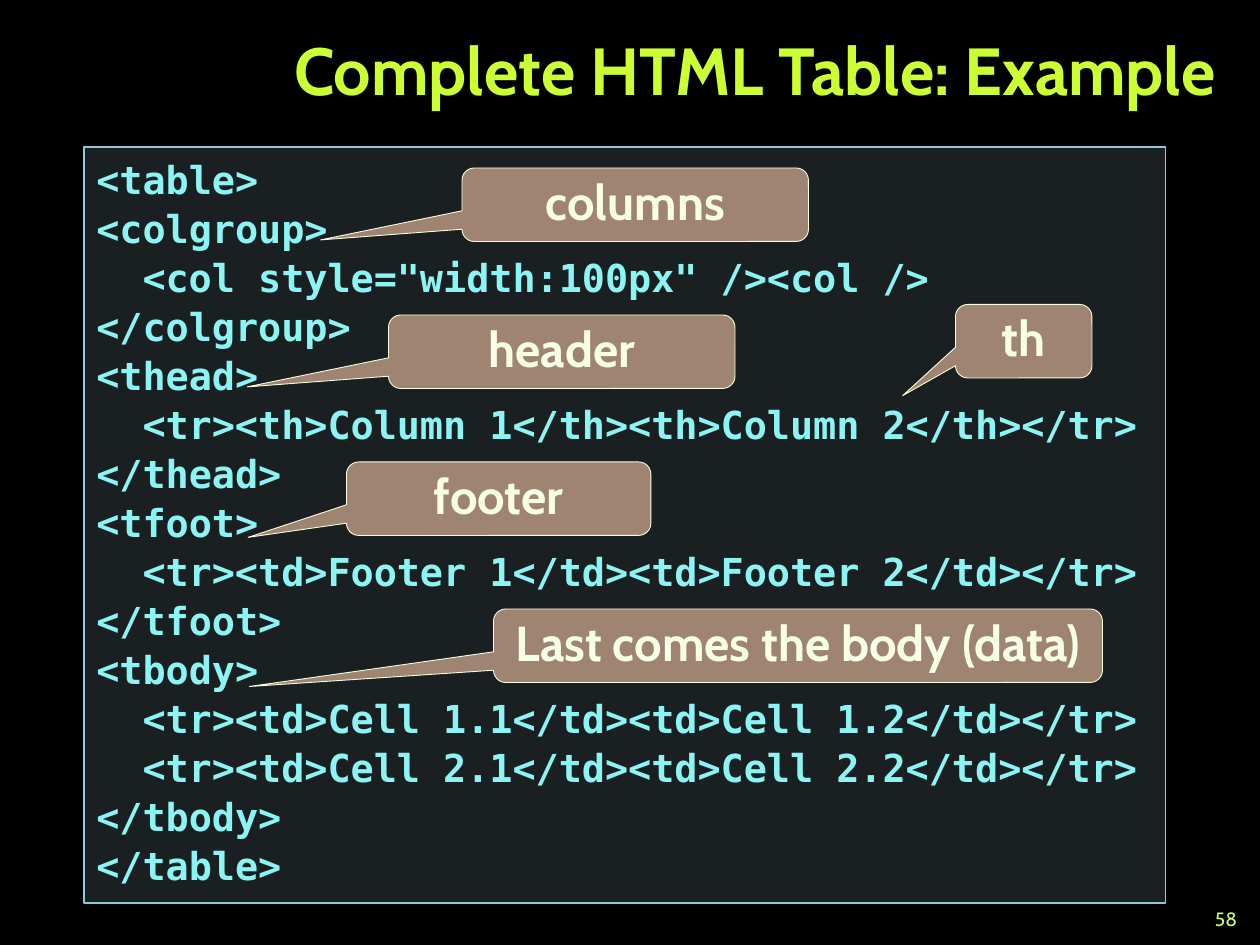
from lxml.etree import SubElement
from pptx import Presentation
from pptx.dml.color import RGBColor
from pptx.enum.shapes import MSO_SHAPE
from pptx.enum.text import MSO_ANCHOR, PP_ALIGN
from pptx.oxml.ns import qn
from pptx.util import Inches, Pt

COLUMNS, ROWS = 120, 90
WIDTH, HEIGHT = Inches(10), Inches(7.5)
SANS, MONO = "Cabin", "DejaVu Sans Mono"
CODE_SIZE = 22
INDENT = Pt(CODE_SIZE * 0.6)

BLACK = RGBColor(0x00, 0x00, 0x00)
LIME = RGBColor(0xCC, 0xFF, 0x33)
PALE_LIME = RGBColor(0xCC, 0xFF, 0x66)
PANEL_FILL = RGBColor(0xB5, 0xDB, 0xE5)
PANEL_LINE = RGBColor(0x90, 0xCA, 0xD7)
CODE_COLOR = RGBColor(0x8C, 0xF4, 0xF2)
CALLOUT_FILL = RGBColor(0x9F, 0x84, 0x71)
CALLOUT_LINE = RGBColor(0xF5, 0xFF, 0xE0)
CALLOUT_TEXT = RGBColor(0xF7, 0xFF, 0xE7)

CODE = """<table>
<colgroup>
  <col style="width:100px" /><col />
</colgroup>
<thead>
  <tr><th>Column 1</th><th>Column 2</th></tr>
</thead>
<tfoot>
  <tr><td>Footer 1</td><td>Footer 2</td></tr>
</tfoot>
<tbody>
  <tr><td>Cell 1.1</td><td>Cell 1.2</td></tr>
  <tr><td>Cell 2.1</td><td>Cell 2.2</td></tr>
</tbody>
</table>"""

CALLOUTS = [
    ("header", 37, 30, 33, (-0.908, 0.479)),
    ("footer", 33, 44, 29, (-0.823, 0.526)),
    ("Last comes the body (data)", 47, 58, 58, (-0.901, 0.555)),
    ("th", 91, 29, 13, (-0.887, 0.741)),
    ("columns", 44, 16, 33, (-0.908, 0.479)),
]


def grid(column, row, columns, rows):
    return (WIDTH * column // COLUMNS, HEIGHT * row // ROWS,
            WIDTH * columns // COLUMNS, HEIGHT * rows // ROWS)


def write(shape, text, *, size, color, font=SANS, bold=True, spacing=None,
          align=PP_ALIGN.LEFT, anchor=MSO_ANCHOR.TOP):
    frame = shape.text_frame
    frame.word_wrap = True
    frame.vertical_anchor = anchor
    for number, line in enumerate(text.split("\n")):
        paragraph = frame.add_paragraph() if number else frame.paragraphs[0]
        paragraph.alignment = align
        if spacing:
            paragraph.line_spacing = Pt(spacing)
        content = line.lstrip()
        depth = len(line) - len(content)
        if depth:
            properties = paragraph._p.get_or_add_pPr()
            properties.set("marL", str(INDENT * depth))
            properties.set("indent", "0")
        run = paragraph.add_run()
        run.text = content
        run.font.name = font
        run.font.size = Pt(size)
        run.font.bold = bold
        run.font.color.rgb = color


def add_box(slide, kind, place, *, fill, line, line_width):
    shape = slide.shapes.add_shape(kind, *grid(*place))
    shape.shadow.inherit = False
    shape.fill.solid()
    shape.fill.fore_color.rgb = fill
    shape.line.color.rgb = line
    shape.line.width = Pt(line_width)
    return shape


def set_opacity(shape, percent):
    color = shape._element.spPr.find(qn("a:solidFill"))[0]
    SubElement(color, qn("a:alpha")).set("val", str(percent * 1000))


def add_title(slide, text):
    title = slide.shapes.title
    title.left, title.top, title.width, title.height = grid(24, 1, 93, 12)
    write(title, text, size=38, color=LIME, spacing=40,
          align=PP_ALIGN.RIGHT, anchor=MSO_ANCHOR.MIDDLE)


def add_code_panel(slide, code):
    panel = add_box(slide, MSO_SHAPE.RECTANGLE, (8, 14, 103, 72),
                    fill=PANEL_FILL, line=PANEL_LINE, line_width=1)
    set_opacity(panel, 15)
    write(panel, code, size=CODE_SIZE, color=CODE_COLOR, font=MONO, spacing=28)


def add_callout(slide, text, column, row, columns, tip):
    callout = add_box(slide, MSO_SHAPE.ROUNDED_RECTANGULAR_CALLOUT,
                      (column, row, columns, 7),
                      fill=CALLOUT_FILL, line=CALLOUT_LINE, line_width=0.5)
    callout.adjustments[0], callout.adjustments[1] = tip
    write(callout, text, size=28, color=CALLOUT_TEXT, spacing=30,
          align=PP_ALIGN.CENTER)


def add_page_number(slide, number):
    box = slide.shapes.add_textbox(*grid(113, 86, 6, 3))
    write(box, number, size=11, color=PALE_LIME, bold=False,
          align=PP_ALIGN.RIGHT, anchor=MSO_ANCHOR.MIDDLE)


def main():
    presentation = Presentation()
    presentation.slide_width, presentation.slide_height = WIDTH, HEIGHT
    slide = presentation.slides.add_slide(presentation.slide_layouts[5])
    slide.background.fill.solid()
    slide.background.fill.fore_color.rgb = BLACK
    add_title(slide, "Complete HTML Table: Example")
    add_page_number(slide, "58")
    add_code_panel(slide, CODE)
    for callout in CALLOUTS:
        add_callout(slide, *callout)
    presentation.save("out.pptx")


if __name__ == "__main__":
    main()
